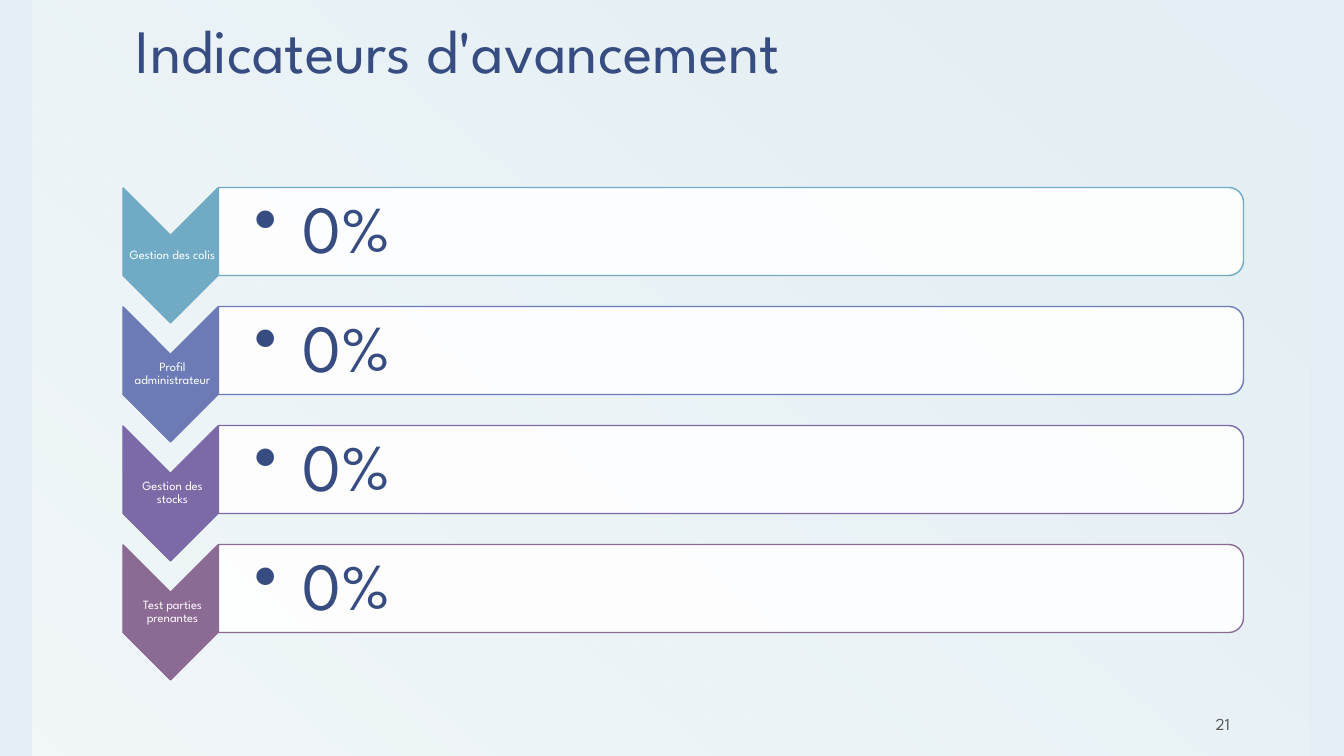
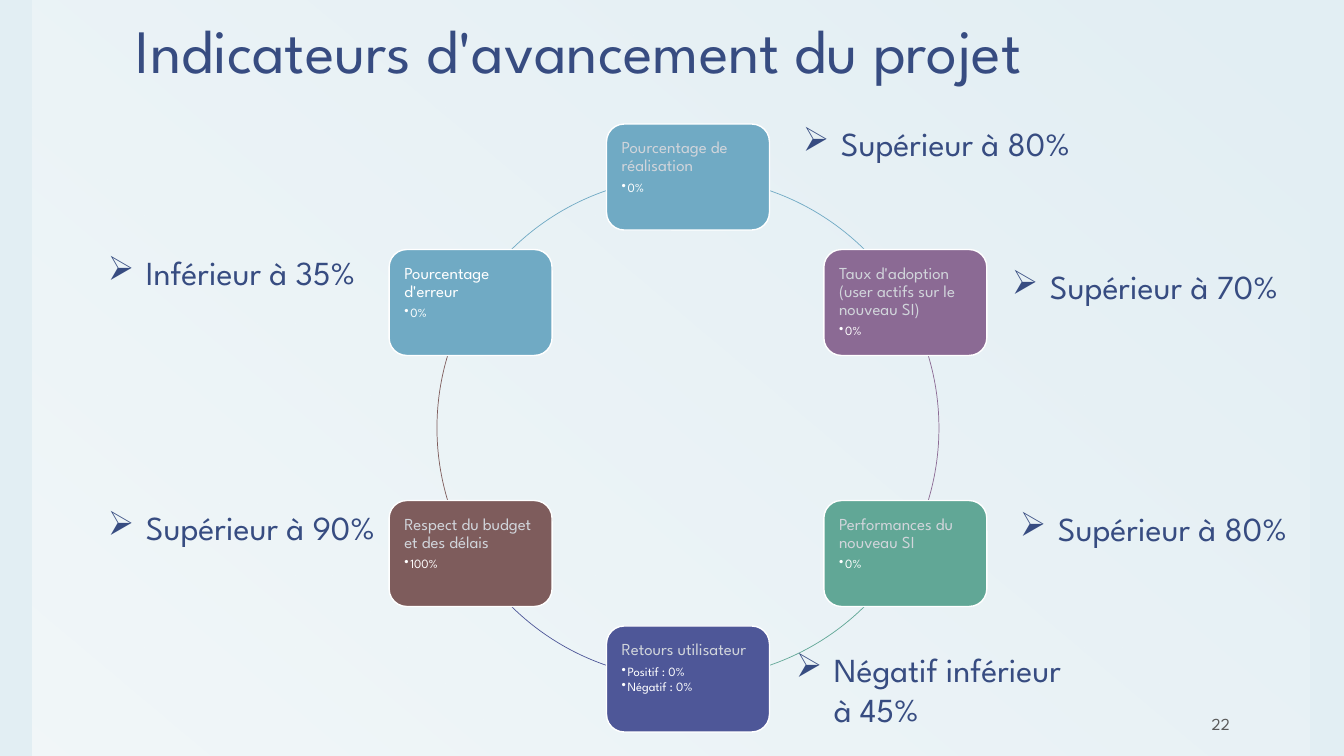
from math import cos, radians, sin

from lxml.etree import SubElement
from pptx import Presentation
from pptx.dml.color import RGBColor
from pptx.enum.shapes import MSO_SHAPE
from pptx.enum.text import MSO_ANCHOR, MSO_AUTO_SIZE, PP_ALIGN
from pptx.oxml import parse_xml
from pptx.oxml.ns import nsdecls, qn
from pptx.util import Pt

SLIDE_WIDTH, SLIDE_HEIGHT = 1344, 756
SCALE = 12192000 / SLIDE_WIDTH  # EMU per px
FONT = "League Spartan"
COLORS = {
    "background": "E2EEF3", "white": "FFFFFF", "navy": "374C81",
    "pale": "D1D5DB", "number": "595959", "sky": "70AAC4",
    "blue": "6C7BB6", "violet": "7C6AA6", "plum": "8B6A94",
    "green": "61A796", "indigo": "4E5798", "brown": "7E5C5C",
}
# size, colour, paragraph attributes, bullet (character, indent in px)
STYLES = {
    "title": (44, "navy", {"line_spacing": 0.85}, None),
    "number": (12, "number", {"alignment": PP_ALIGN.RIGHT}, None),
    "step": (9, "white", {"alignment": PP_ALIGN.CENTER, "line_spacing": 0.9}, None),
    "percent": (48, "navy", {"line_spacing": 0.9}, ("•", 48)),
    "card": (12, "pale", {"line_spacing": 0.9, "space_after": Pt(4.2)}, None),
    "card white": (12, "white", {"line_spacing": 0.9, "space_after": Pt(4.2)}, None),
    "value": (9, "white", {"line_spacing": 0.9, "space_after": Pt(1.35)}, ("•", 6)),
    "target": (24, "navy", {}, ("➢", 38)),
}


def write(shape, lines, insets, anchor=MSO_ANCHOR.TOP):
    """Fill a shape with (text, style name) lines; insets are left, top, right, bottom."""
    frame = shape.text_frame
    frame.word_wrap = True
    frame.auto_size = MSO_AUTO_SIZE.NONE
    frame.vertical_anchor = anchor
    for side, inset in zip(("left", "top", "right", "bottom"), insets):
        setattr(frame, f"margin_{side}", round(inset * SCALE))
    for index, (text, style) in enumerate(lines):
        size, color, attributes, bullet = STYLES[style]
        paragraph = frame.add_paragraph() if index else frame.paragraphs[0]
        for name, value in ({"alignment": PP_ALIGN.LEFT} | attributes).items():
            setattr(paragraph, name, value)
        if bullet:
            character, indent = bullet
            properties = paragraph._p.get_or_add_pPr()
            properties.set("marL", str(round(indent * SCALE)))
            properties.set("indent", str(round(-indent * SCALE)))
            SubElement(properties, qn("a:buChar")).set("char", character)
        run = paragraph.add_run()
        run.text = text
        run.font.name = FONT
        run.font.size = Pt(size)
        run.font.color.rgb = RGBColor.from_string(COLORS[color])


def add_box(slide, box, kind=None, fill=None, line=None, line_width=1):
    """Add a preset shape, or a text box when no kind is given; box is in px."""
    lengths = [round(length * SCALE) for length in box]
    if kind is None:
        return slide.shapes.add_textbox(*lengths)
    shape = slide.shapes.add_shape(kind, *lengths)
    shape.shadow.inherit = False
    if fill:
        shape.fill.solid()
        shape.fill.fore_color.rgb = RGBColor.from_string(COLORS[fill])
    else:
        shape.fill.background()
    if line:
        shape.line.color.rgb = RGBColor.from_string(COLORS[line])
        shape.line.width = Pt(line_width)
    else:
        shape.line.fill.background()
    return shape


presentation = Presentation()
presentation.slide_width = round(SLIDE_WIDTH * SCALE)
presentation.slide_height = round(SLIDE_HEIGHT * SCALE)
background = presentation.slide_master.background.fill
background.solid()
background.fore_color.rgb = RGBColor.from_string(COLORS["background"])
layout = presentation.slide_layouts[5]

slides = []
for number, title in (("21", "Indicateurs d'avancement"),
                      ("22", "Indicateurs d'avancement du projet")):
    slide = presentation.slides.add_slide(layout)
    heading = slide.shapes.title
    for name, length in {"left": 123, "top": 8, "width": 1120, "height": 85}.items():
        setattr(heading, name, round(length * SCALE))
    write(heading, [(title, "title")], (13, 7, 13, 7), MSO_ANCHOR.BOTTOM)
    write(add_box(slide, (1121, 706, 122, 35)), [(number, "number")],
          (13, 7, 13, 7), MSO_ANCHOR.BOTTOM)
    slides.append(slide)
steps_slide, cycle_slide = slides

# The translucent panel moves to the layout, behind everything on both slides
panel = add_box(steps_slide, (33, 0, 1277, 756), MSO_SHAPE.RECTANGLE, "white")
solid_fill = panel.element.spPr.find(qn("a:solidFill"))
panel.element.spPr.replace(solid_fill, parse_xml(
    f'<a:gradFill {nsdecls("a")} rotWithShape="1"><a:gsLst>'
    '<a:gs pos="0"><a:srgbClr val="FFFFFF"><a:alpha val="0"/></a:srgbClr></a:gs>'
    '<a:gs pos="100000"><a:srgbClr val="FFFFFF"><a:alpha val="55000"/></a:srgbClr></a:gs>'
    '</a:gsLst><a:lin ang="7800000" scaled="0"/></a:gradFill>'))
layout.shapes.element.insert(2, panel.element)

# Slide 1: one chevron and one bar per step
ROW_PITCH = 119
steps = [("Gestion des colis", "sky"), ("Profil administrateur", "blue"),
         ("Gestion des stocks", "violet"), ("Test parties prenantes", "plum")]
for row, (label, color) in enumerate(steps):
    offset = row * ROW_PITCH
    chevron = add_box(steps_slide, (103, 208 + offset, 135, 95),
                      MSO_SHAPE.CHEVRON, color, color)
    bar = add_box(steps_slide, (687, -281 + offset, 88, 1025),
                  MSO_SHAPE.ROUND_2_SAME_RECTANGLE, "white", color)
    chevron.rotation = bar.rotation = 90
    bar_color = bar.element.spPr.find(qn("a:solidFill"))[0]
    SubElement(bar_color, qn("a:alpha")).set("val", "90000")
    write(add_box(steps_slide, (123, 235 + offset, 95, 40)), [(label, "step")],
          (5, 1, 1, 1), MSO_ANCHOR.MIDDLE)
    write(add_box(steps_slide, (218, 192 + offset, 1021, 80)), [("0%", "percent")],
          (37, 3, 3, 3), MSO_ANCHOR.MIDDLE)

# Slide 2: cards on a circle, clockwise from the top
CENTER_X, CENTER_Y, RADIUS = 688, 428, 251
CARD_WIDTH, CARD_HEIGHT = 163, 106
cards = [
    ("Pourcentage de réalisation", "card", "sky", ["0%"]),
    ("Taux d'adoption (user actifs sur le nouveau SI)", "card", "plum", ["0%"]),
    ("Performances du nouveau SI", "card", "green", ["0%"]),
    ("Retours utilisateur", "card", "indigo", ["Positif : 0%", "Négatif : 0%"]),
    ("Respect du budget et des délais", "card", "brown", ["100%"]),
    ("Pourcentage d'erreur", "card white", "sky", ["0%"]),
]
ANGLE_STEP = 360 // len(cards)
angles = [(270 + index * ANGLE_STEP) % 360 for index in range(len(cards))]
for angle, (_, _, color, _) in zip(angles, cards):
    arc = add_box(cycle_slide,
                  (CENTER_X - RADIUS, CENTER_Y - RADIUS, 2 * RADIUS, 2 * RADIUS),
                  MSO_SHAPE.ARC, line=color, line_width=0.5)
    # An adjustment of 0.6 is one degree
    arc.adjustments[0] = angle * 0.6
    arc.adjustments[1] = (angle + ANGLE_STEP) % 360 * 0.6
for angle, (label, style, color, values) in zip(angles, cards):
    left = CENTER_X + RADIUS * cos(radians(angle)) - CARD_WIDTH / 2
    top = CENTER_Y + RADIUS * sin(radians(angle)) - CARD_HEIGHT / 2
    card = add_box(cycle_slide, (left, top, CARD_WIDTH, CARD_HEIGHT),
                   MSO_SHAPE.ROUNDED_RECTANGLE, color, "white")
    write(card, [(label, style)] + [(value, "value") for value in values],
          (10, 10, 10, 10))

targets = [
    (793, 118, 302, "Supérieur à 80%"),
    (1002, 261, 302, "Supérieur à 70%"),
    (1010, 503, 302, "Supérieur à 80%"),
    (786, 644, 302, "Négatif inférieur à 45%"),
    (98, 502, 302, "Supérieur à 90%"),
    (98, 247, 270, "Inférieur à 35%"),
]
for left, top, width, target in targets:
    write(add_box(cycle_slide, (left, top, width, 92)), [(target, "target")],
          (10, 5, 10, 5))

presentation.save("out.pptx")
